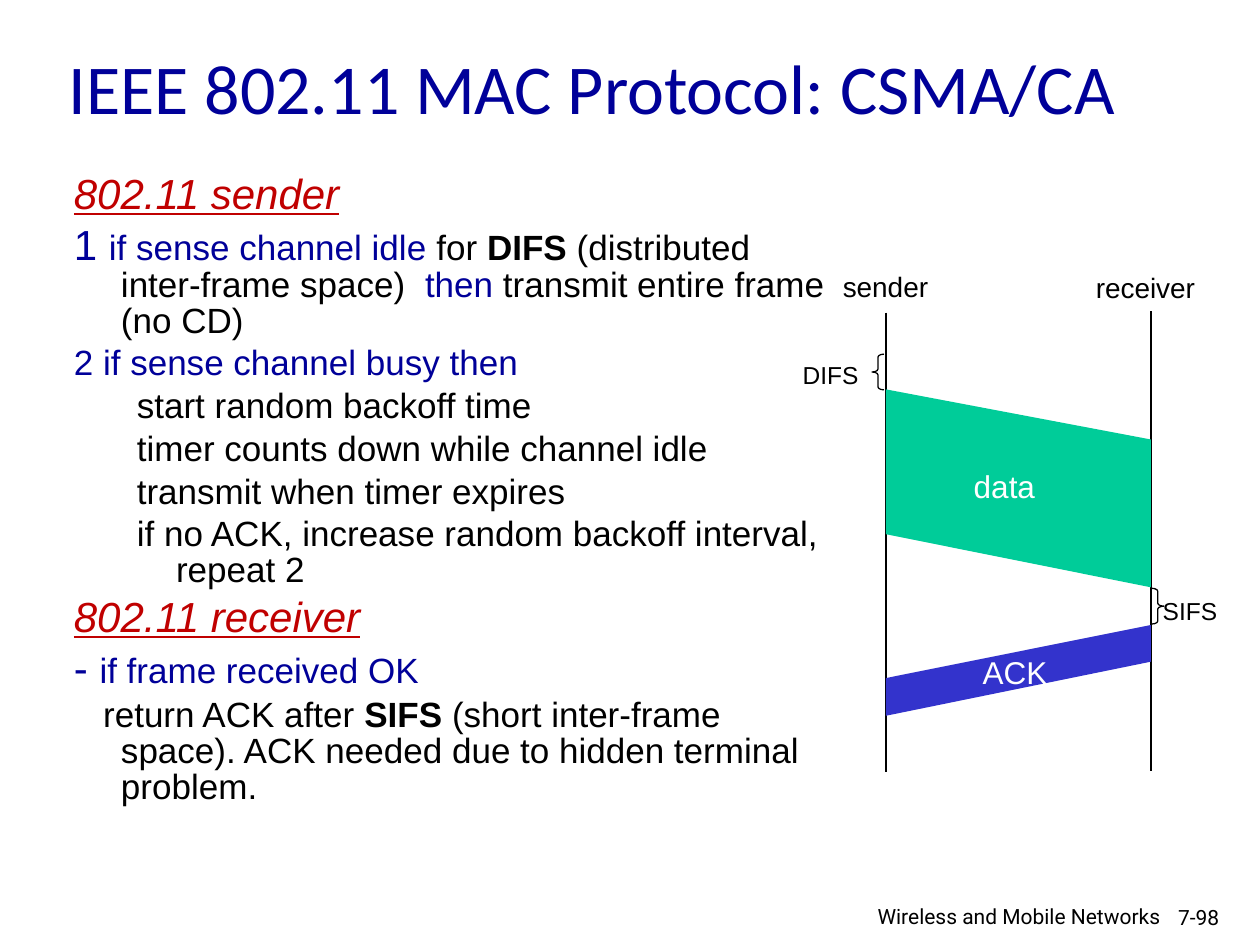
from pptx import Presentation
from pptx.dml.color import RGBColor
from pptx.enum.shapes import MSO_CONNECTOR, MSO_SHAPE
from pptx.enum.text import MSO_ANCHOR, PP_ALIGN
from pptx.oxml.ns import qn
from pptx.util import Cm, Pt
from lxml import etree

STRAIGHT = MSO_CONNECTOR.STRAIGHT
LEFT_BRACE, RIGHT_BRACE = MSO_SHAPE.LEFT_BRACE, MSO_SHAPE.RIGHT_BRACE
MIDDLE = MSO_ANCHOR.MIDDLE
LEFT, RIGHT = PP_ALIGN.LEFT, PP_ALIGN.RIGHT

BLACK, WHITE, NAVY, RED = "000000", "FFFFFF", "000099", "C00000"
GREEN, BLUE = "00CC99", "3333CC"


def rgb(hex_colour):
    return RGBColor.from_string(hex_colour)


def add_text(box, paragraphs, font="Arial", wrap=True):
    """Add a text box; each paragraph is a list of (text, size, colour, style),
    where style holds any of b, i and u."""
    frame = slide.shapes.add_textbox(*map(Cm, box)).text_frame
    frame.word_wrap = wrap
    for number, runs in enumerate(paragraphs):
        paragraph = frame.paragraphs[0] if number == 0 else frame.add_paragraph()
        for text, size, colour, style in runs:
            run = paragraph.add_run()
            run.text = text
            run.font.name = font
            run.font.size = Pt(size)
            run.font.color.rgb = rgb(colour)
            run.font.bold = "b" in style
            run.font.italic = "i" in style
            run.font.underline = "u" in style
    return frame


prs = Presentation()
prs.slide_width, prs.slide_height = Cm(25.4), Cm(19.05)
slide = prs.slides.add_slide(prs.slide_layouts[6])

title = add_text((1.14, 0.43, 22.83, 2.64),
                 [[("IEEE 802.11 MAC Protocol: CSMA/CA", 40, NAVY, "")]], "Calibri")
title.vertical_anchor = MIDDLE

# Protocol steps: (left margin, first-line indent, runs)
STEP, SUBSTEP, RESULT = (0.95, -0.95), (2.06, -0.79), (0.95, -0.36)
steps = [
    (STEP, [("802.11 sender", 24, RED, "iu")]),
    (STEP, [("1 ", 24, NAVY, ""), ("if sense channel idle", 20, NAVY, ""),
            (" for ", 20, BLACK, ""), ("DIFS ", 20, BLACK, "b"),
            ("(distributed inter-frame space)  ", 20, BLACK, ""),
            ("then", 20, NAVY, ""), (" transmit entire frame (no CD)", 20, BLACK, "")]),
    (STEP, [("2 if sense channel busy then", 20, NAVY, "")]),
    (SUBSTEP, [("start random backoff time", 20, BLACK, "")]),
    (SUBSTEP, [("timer counts down while channel idle", 20, BLACK, "")]),
    (SUBSTEP, [("transmit when timer expires", 20, BLACK, "")]),
    (SUBSTEP, [("if no ACK, increase random backoff interval, repeat 2", 20, BLACK, "")]),
    (STEP, [("802.11 receiver", 24, RED, "iu")]),
    (STEP, [("- ", 24, NAVY, ""), ("if frame received OK", 20, NAVY, "")]),
    (RESULT, [("return ACK after ", 20, BLACK, ""), ("SIFS ", 20, BLACK, "b"),
              ("(short inter-frame space). ACK needed due to hidden terminal problem.",
               20, BLACK, "")]),
]
body = add_text((1.24, 3.4, 15.65, 13.77), [runs for _, runs in steps])
for paragraph, ((margin, indent), runs) in zip(body.paragraphs, steps):
    paragraph.line_spacing = 0.85
    paragraph.space_before = Pt(0.2 * runs[0][1])
    properties = paragraph._p.get_or_add_pPr()
    properties.set("marL", str(Cm(margin)))
    properties.set("indent", str(Cm(indent)))

# Timelines of the two stations
SENDER_X, RECEIVER_X = 17.86, 23.2
for x, top in ((SENDER_X, 6.3), (RECEIVER_X, 6.27)):
    timeline = slide.shapes.add_connector(STRAIGHT, Cm(x), Cm(top), Cm(x), Cm(top + 9.27))
    timeline.line.color.rgb = rgb(BLACK)
    timeline.line.width = Pt(0.75)
    etree.SubElement(timeline._element.spPr, qn("a:effectLst"))

# Frames in flight: y at sender top, receiver top, receiver bottom, sender bottom
for colour, y1, y2, y3, y4 in ((GREEN, 7.85, 8.86, 11.84, 10.77),
                               (BLUE, 13.67, 12.6, 13.34, 14.43)):
    outline = slide.shapes.build_freeform(Cm(SENDER_X), Cm(y1))
    outline.add_line_segments([(Cm(RECEIVER_X), Cm(y2)), (Cm(RECEIVER_X), Cm(y3)),
                               (Cm(SENDER_X), Cm(y4))], close=True)
    frame_band = outline.convert_to_shape()
    frame_band.shadow.inherit = False
    frame_band.fill.solid()
    frame_band.fill.fore_color.rgb = rgb(colour)
    frame_band.line.fill.background()

# Waiting intervals
for kind, x, y in ((LEFT_BRACE, 17.58, 7.14), (RIGHT_BRACE, 23.22, 11.86)):
    interval = slide.shapes.add_shape(kind, Cm(x), Cm(y), Cm(0.24), Cm(0.72))
    interval.adjustments[0] = 0.25
    interval.shadow.inherit = False
    interval.fill.background()
    interval.line.color.rgb = rgb(BLACK)
    interval.line.width = Pt(0.75)

for label, size, colour, box in (
    ("sender", 16, BLACK, (16.74, 5.31, 2.31, 0.94)),
    ("receiver", 16, BLACK, (21.84, 5.33, 2.54, 0.94)),
    ("DIFS", 14, BLACK, (15.93, 7.14, 1.65, 0.86)),
    ("SIFS", 14, BLACK, (23.19, 11.89, 1.63, 0.86)),
    ("data", 18, WHITE, (19.38, 9.3, 1.75, 1.02)),
    ("ACK", 18, WHITE, (19.56, 13.03, 1.83, 1.02)),
):
    add_text(box, [[(label, size, colour, "")]], wrap=False)

for label, box, alignment in (
    ("7-98", (23.5, 18.11, 1.9, 0.76), LEFT),
    ("Wireless and Mobile Networks ", (16.26, 18.08, 7.49, 0.71), RIGHT),
):
    footer = add_text(box, [[(label, 12, BLACK, "")]], "Roboto")
    footer.paragraphs[0].alignment = alignment

prs.save("out.pptx")
